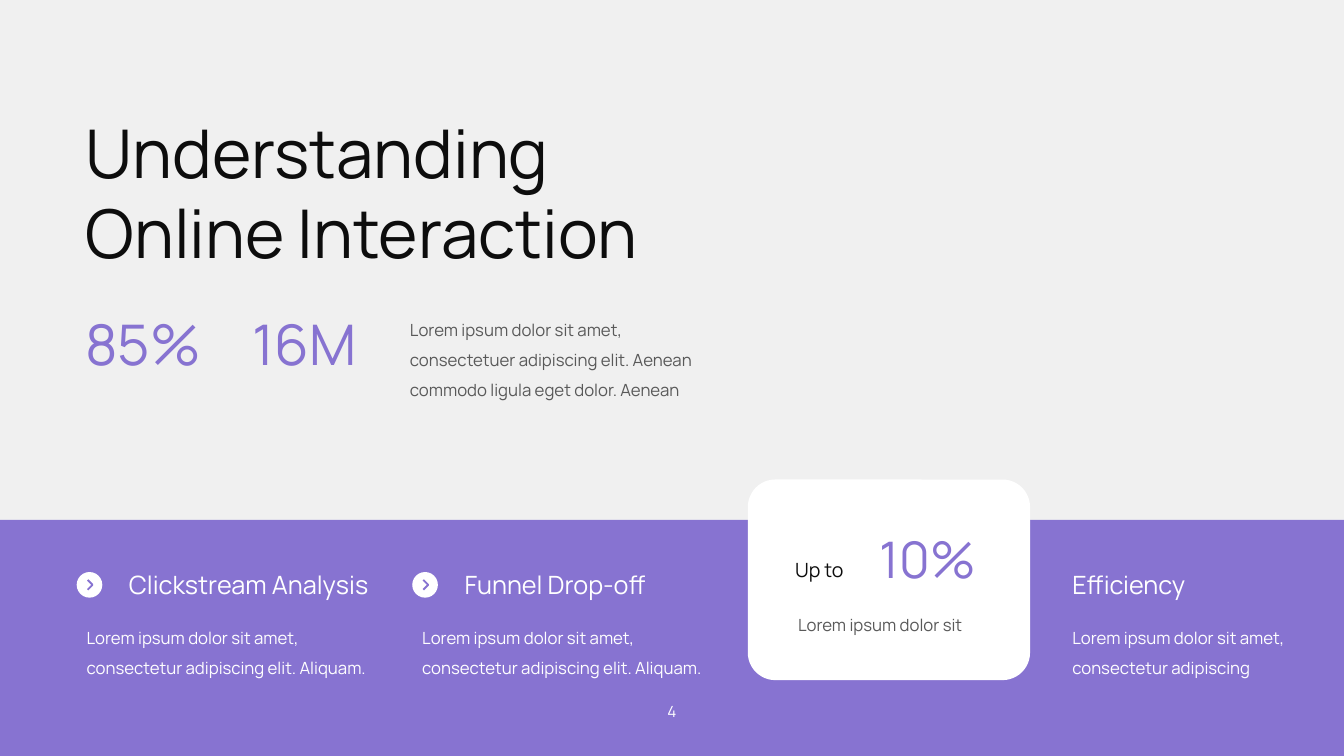
from dataclasses import dataclass

from lxml import etree
from pptx import Presentation
from pptx.dml.color import RGBColor
from pptx.enum.shapes import MSO_SHAPE
from pptx.enum.text import MSO_ANCHOR, MSO_AUTO_SIZE, PP_ALIGN
from pptx.util import Pt

RECTANGLE, ROUNDED, OVAL = MSO_SHAPE.RECTANGLE, MSO_SHAPE.ROUNDED_RECTANGLE, MSO_SHAPE.OVAL
TOP, MIDDLE, BOTTOM = MSO_ANCHOR.TOP, MSO_ANCHOR.MIDDLE, MSO_ANCHOR.BOTTOM
LEFT, CENTER, RIGHT = PP_ALIGN.LEFT, PP_ALIGN.CENTER, PP_ALIGN.RIGHT
NO_AUTOFIT = MSO_AUTO_SIZE.NONE
TITLE_ONLY = 5


@dataclass(frozen=True)
class Theme:
    font: str = "Manrope"
    paper: RGBColor = RGBColor(0xF0, 0xF0, 0xF0)
    accent: RGBColor = RGBColor(0x87, 0x73, 0xD1)
    white: RGBColor = RGBColor(0xFF, 0xFF, 0xFF)
    ink: RGBColor = RGBColor(0x0D, 0x0D, 0x0D)
    muted: RGBColor = RGBColor(0x59, 0x59, 0x59)
    title: int = 48
    figure: int = 40
    card_figure: int = 36
    heading: int = 18
    label: int = 14
    body: int = 12
    number: int = 11


THEME = Theme()
BODY_FORMAT = {"line_spacing": 1.5, "space_before": Pt(8)}


def set_all(target, values):
    for name, value in values.items():
        setattr(target, name, value)


def write(shape, text, size, color, align=LEFT, anchor=TOP, **para_format):
    frame = shape.text_frame
    set_all(frame, {"word_wrap": True, "auto_size": NO_AUTOFIT, "vertical_anchor": anchor})
    para = frame.paragraphs[0]
    set_all(para, {"alignment": align, **para_format})
    span = para.add_run()
    span.text = text
    set_all(span.font, {"name": THEME.font, "size": Pt(size)})
    span.font.color.rgb = color


def add_text(page, box, text, size, color, **options):
    write(page.shapes.add_textbox(*map(Pt, box)), text, size, color, **options)


def add_body(page, box, text, color):
    add_text(page, box, text, THEME.body, color, **BODY_FORMAT)


def add_block(page, kind, box, color):
    shape = page.shapes.add_shape(kind, *map(Pt, box))
    shape.shadow.inherit = False
    shape.fill.solid()
    shape.fill.fore_color.rgb = color
    shape.line.fill.background()
    return shape


def add_arrow_badge(page, left, top, size):
    add_block(page, OVAL, (left, top, size, size), THEME.white)
    middle_x, middle_y = left + size / 2, top + size / 2
    corners = [(middle_x + x, middle_y + y) for x, y in ((-1.3, -3.5), (2.2, 0), (-1.3, 3.5))]
    points = [(Pt(x), Pt(y)) for x, y in corners]
    builder = page.shapes.build_freeform(*points[0])
    builder.add_line_segments(points[1:], close=False)
    chevron = builder.convert_to_shape()
    chevron.shadow.inherit = False
    chevron.fill.background()
    chevron.line.color.rgb = THEME.accent
    chevron.line.width = Pt(1.3)
    line = chevron.line._get_or_add_ln()
    namespace = line.nsmap["a"]
    etree.SubElement(line, f"{{{namespace}}}round")


def add_intro(page, box):
    left, top, width, height = box
    # Title
    title = page.shapes.title
    set_all(title, dict(zip(("left", "top", "width", "height"),
                            map(Pt, (left, top, width, 123.8)))))
    write(title, "Understanding Online Interaction", THEME.title, THEME.ink)
    # Key figures and their explanation
    row = top + 141.8
    for offset, figure in ((0, "85%"), (119.5, "16M")):
        add_text(page, (left + offset, row, 111.6, 55.4), figure, THEME.figure, THEME.accent)
    add_body(page, (left + 231.8, row, 225.4, height - 141.8),
             "Lorem ipsum dolor sit amet, consectetuer adipiscing elit. "
             "Aenean commodo ligula eget dolor. Aenean", THEME.muted)


def add_topic(page, box, heading, text, badge):
    left, top, width, height = box
    indent = 30.2 if badge else 0
    if badge:
        add_arrow_badge(page, left, top + 5.6, 18.3)
    add_text(page, (left + indent, top, width - indent, 28.8), heading,
             THEME.heading, THEME.white)
    add_body(page, (left, top + 34.6, width, height - 34.6), text, THEME.white)


def add_band(page, box):
    left, top, width, height = box
    add_block(page, RECTANGLE, box, THEME.accent)
    # Topics
    long_text = "Lorem ipsum dolor sit amet, consectetur adipiscing elit. Aliquam."
    short_text = "Lorem ipsum dolor sit amet, consectetur adipiscing"
    topics = (
        (54.8, 218, "Clickstream Analysis", long_text, True),
        (294.5, 218, "Funnel Drop-off", long_text, True),
        (758.9, 185.8, "Efficiency", short_text, False),
    )
    for offset, topic_width, heading, text, badge in topics:
        add_topic(page, (left + offset, top + 31.7, topic_width, 83.6), heading, text, badge)
    # Page number
    add_text(page, (left + (width - 67) / 2, top + 126.7, 67, 20.9), "4",
             THEME.number, THEME.white, align=CENTER, anchor=MIDDLE)


def add_card(page, box):
    left, top, width, height = box
    add_block(page, ROUNDED, box, THEME.white).adjustments[0] = 0.137
    add_text(page, (left + 69.9, top + 30.3, 100, 51.1), "10%", THEME.card_figure,
             THEME.accent, align=RIGHT, anchor=BOTTOM)
    add_text(page, (left + 26.7, top + 52.6, 62, 24.5), "Up to", THEME.label, THEME.ink)
    add_body(page, (left + 28.8, top + 85.7, 146.2, 26.6), "Lorem ipsum dolor sit", THEME.muted)


def main():
    deck = Presentation()
    deck.slide_width, deck.slide_height = Pt(960), Pt(540)
    page = deck.slides.add_slide(deck.slide_layouts[TITLE_ONLY])
    page.background.fill.solid()
    page.background.fill.fore_color.rgb = THEME.paper
    add_intro(page, (54, 75.6, 451.4, 212.4))
    add_band(page, (0, 371.3, 960, 168.7))
    add_card(page, (534.2, 342.5, 201.6, 143.3))
    deck.save("out.pptx")


if __name__ == "__main__":
    main()
